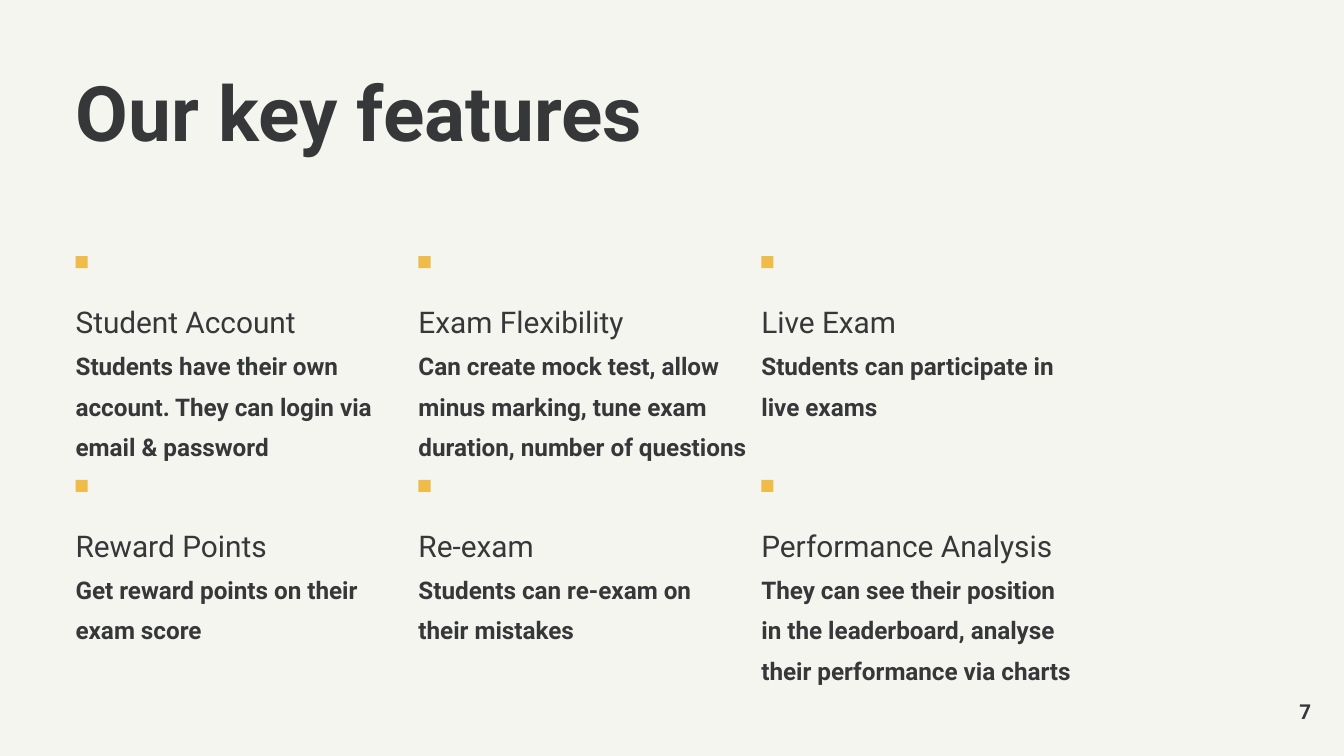
"""Build the key features slide: a title above a grid of six features."""
from pptx import Presentation
from pptx.dml.color import RGBColor
from pptx.enum.shapes import MSO_SHAPE
from pptx.enum.text import MSO_ANCHOR, PP_ALIGN
from pptx.util import Cm, Pt

RECTANGLE = MSO_SHAPE.RECTANGLE
TOP, MIDDLE = MSO_ANCHOR.TOP, MSO_ANCHOR.MIDDLE
LEFT, RIGHT = PP_ALIGN.LEFT, PP_ALIGN.RIGHT

FONT, INK, ACCENT, PAPER = "Roboto", "363739", "EFBC49", "F5F5EF"
TITLE = "Our key features"
PAGE_NUMBER = "7"
FEATURES = [
    ("Student Account", "Students have their own account. They can login via email & password", 5.87, 3.61),
    ("Exam Flexibility", "Can create mock test, allow minus marking, tune exam duration, number of questions", 6.23, 3.28),
    ("Live Exam", "Students can participate in live exams", 5.87, 2.67),
    ("Reward Points", "Get reward points on their exam score", 5.87, 2.67),
    ("Re-exam", "Students can re-exam on their mistakes", 5.87, 2.67),
    ("Performance Analysis", "They can see their position in the leaderboard, analyse their performance via charts", 5.87, 3.28),
]
COLUMNS = 3
GRID_LEFT, GRID_TOP = 1.43, 4.84
COLUMN_STEP, ROW_STEP = 6.48, 4.23
MARKER_SIZE, TEXT_DROP = 0.23, 0.63


def color(value):
    return RGBColor.from_string(value)


def add_text(page, place, text, styles, spacing=1.0, align=LEFT, anchor=TOP):
    box = page.shapes.add_textbox(*map(Cm, place))
    frame = box.text_frame
    frame.word_wrap = True
    frame.vertical_anchor = anchor
    frame.margin_left = frame.margin_top = frame.margin_right = frame.margin_bottom = 0
    para = frame.paragraphs[0]
    para.text = text
    para.alignment = align
    para.line_spacing = spacing
    for span, (size, bold) in zip(para.runs, styles):
        span.font.name = FONT
        span.font.size = Pt(size)
        span.font.bold = bold
        span.font.color.rgb = color(INK)


def add_marker(page, left, top):
    marker = page.shapes.add_shape(RECTANGLE, Cm(left), Cm(top), Cm(MARKER_SIZE), Cm(MARKER_SIZE))
    marker.shadow.inherit = False
    marker.fill.solid()
    marker.fill.fore_color.rgb = color(ACCENT)
    marker.line.fill.background()


def main():
    deck = Presentation()
    deck.slide_width, deck.slide_height = Cm(25.4), Cm(14.29)
    page = deck.slides.add_slide(deck.slide_layouts[6])
    page.background.fill.solid()
    page.background.fill.fore_color.rgb = color(PAPER)

    add_text(page, (GRID_LEFT, 1.43, 18, 2), TITLE, [(41, True)], spacing=0.9)
    for index, (heading, detail, width, height) in enumerate(FEATURES):
        row, column = divmod(index, COLUMNS)
        left = GRID_LEFT + column * COLUMN_STEP
        top = GRID_TOP + row * ROW_STEP
        add_marker(page, left, top)
        add_text(page, (left, top + TEXT_DROP, width, height), f"{heading}\v{detail}",
                 [(16, False), (13, True)], spacing=1.4)
    add_text(page, (23.26, 13.19, 1.52, 0.51), PAGE_NUMBER, [(11, True)], align=RIGHT, anchor=MIDDLE)
    deck.save("out.pptx")


if __name__ == "__main__":
    main()
